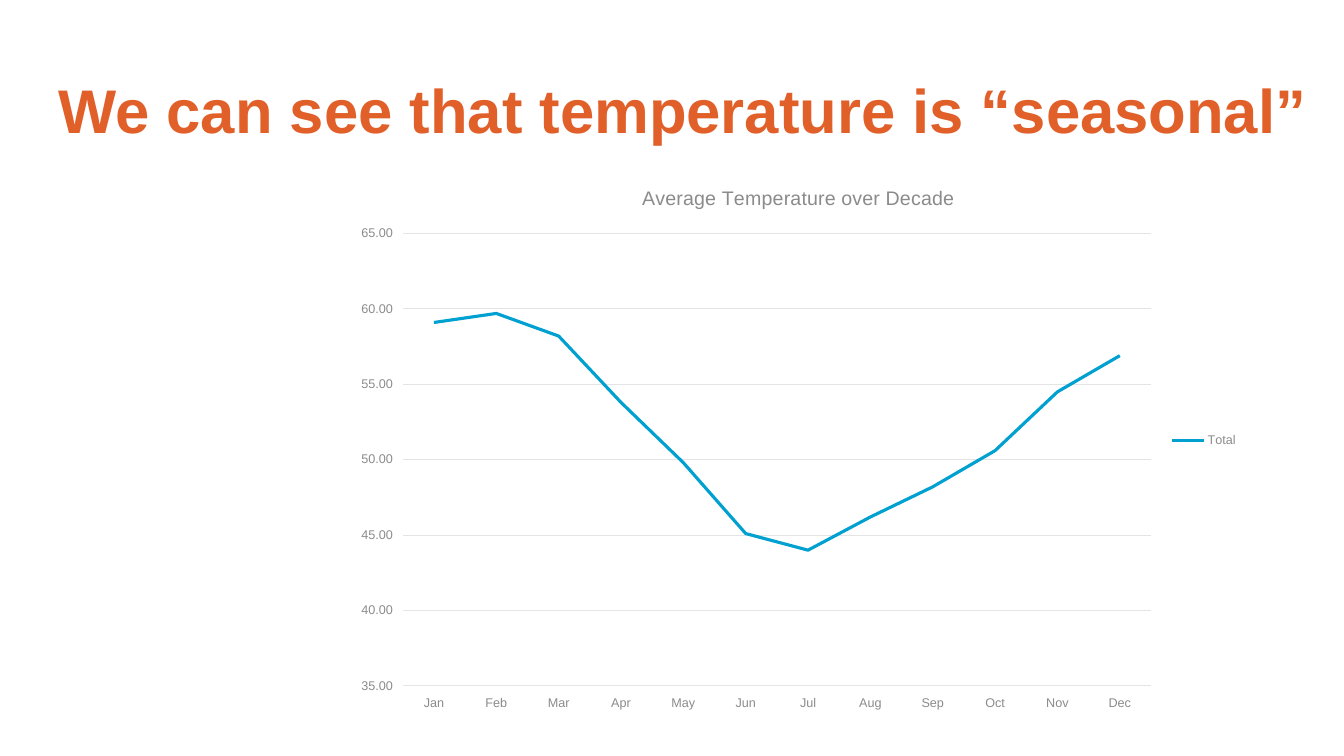
"""Build a slide with a line chart of average monthly temperature."""
from lxml.etree import SubElement
from pptx import Presentation
from pptx.chart.data import CategoryChartData
from pptx.dml.color import RGBColor
from pptx.enum.chart import XL_CHART_TYPE, XL_LEGEND_POSITION, XL_TICK_LABEL_POSITION, XL_TICK_MARK
from pptx.enum.text import MSO_ANCHOR
from pptx.oxml.ns import qn
from pptx.util import Inches, Pt

GREY = "8A8C8A"
LIGHT_GREY = "E4E4E4"


def style_font(font, size, color, bold=False):
    font.name = "Arial"
    font.size = Pt(size)
    font.bold = bold
    font.color.rgb = RGBColor.from_string(color)


def style_line(line, width, color):
    line.width = Pt(width)
    line.color.rgb = RGBColor.from_string(color)


presentation = Presentation()
presentation.slide_width = Inches(13.33)
presentation.slide_height = Inches(7.5)
slide = presentation.slides.add_slide(presentation.slide_layouts[6])

title = slide.shapes.add_textbox(Inches(0.48), Inches(0.4), Inches(12.62), Inches(1.45))
title.text_frame.word_wrap = True
title.text_frame.vertical_anchor = MSO_ANCHOR.MIDDLE
paragraph = title.text_frame.paragraphs[0]
paragraph.text = "We can see that temperature is “seasonal”"
paragraph.line_spacing = 0.9
style_font(paragraph.font, 44, "E15F29", bold=True)

temperatures = CategoryChartData(number_format="0.00")
temperatures.categories = "Jan Feb Mar Apr May Jun Jul Aug Sep Oct Nov Dec".split()
temperatures.add_series(
    "Total", [59.1, 59.7, 58.2, 53.8, 49.8, 45.1, 44, 46.2, 48.2, 50.6, 54.5, 56.9]
)
chart = slide.shapes.add_chart(
    XL_CHART_TYPE.LINE, Inches(3.46), Inches(1.64), Inches(8.92), Inches(5.46), temperatures
).chart
style_font(chart.font, 10, "4C4D4C")

chart.has_title = True
chart_heading = chart.chart_title.text_frame.paragraphs[0]
chart_heading.text = "Average Temperature over Decade"
style_font(chart_heading.font, 14, GREY)

chart.has_legend = True
chart.legend.position = XL_LEGEND_POSITION.RIGHT
chart.legend.include_in_layout = False
style_font(chart.legend.font, 9, GREY)

month_axis, degree_axis = chart.category_axis, chart.value_axis
for axis in (month_axis, degree_axis):
    axis.major_tick_mark = XL_TICK_MARK.NONE
    axis.minor_tick_mark = XL_TICK_MARK.NONE
    axis.tick_label_position = XL_TICK_LABEL_POSITION.LOW
    style_font(axis.tick_labels.font, 9, GREY)
style_line(month_axis.format.line, 0.75, LIGHT_GREY)
degree_axis.format.line.fill.background()
degree_axis.minimum_scale = 35
degree_axis.maximum_scale = 65
degree_axis.major_unit = 5
degree_axis.crosses_at = 50
degree_axis.tick_labels.number_format = "0.00"
degree_axis.tick_labels.number_format_is_linked = False
style_line(degree_axis.major_gridlines.format.line, 0.75, LIGHT_GREY)

chart.plots[0].vary_by_categories = False
series = chart.plots[0].series[0]
series.smooth = False
style_line(series.format.line, 2.25, "00A0D1")

plot_area = chart.element.find(".//" + qn("c:plotArea"))
layout = plot_area.find(qn("c:layout"))
if layout is None:
    layout = SubElement(plot_area, qn("c:layout"))
    plot_area.insert(0, layout)
manual_layout = SubElement(layout, qn("c:manualLayout"))
for name, value in (
    ("layoutTarget", "inner"), ("xMode", "edge"), ("yMode", "edge"),
    ("x", 0.06), ("y", 0.124), ("w", 0.832), ("h", 0.822),
):
    SubElement(manual_layout, qn(f"c:{name}")).set("val", str(value))

presentation.save("out.pptx")
